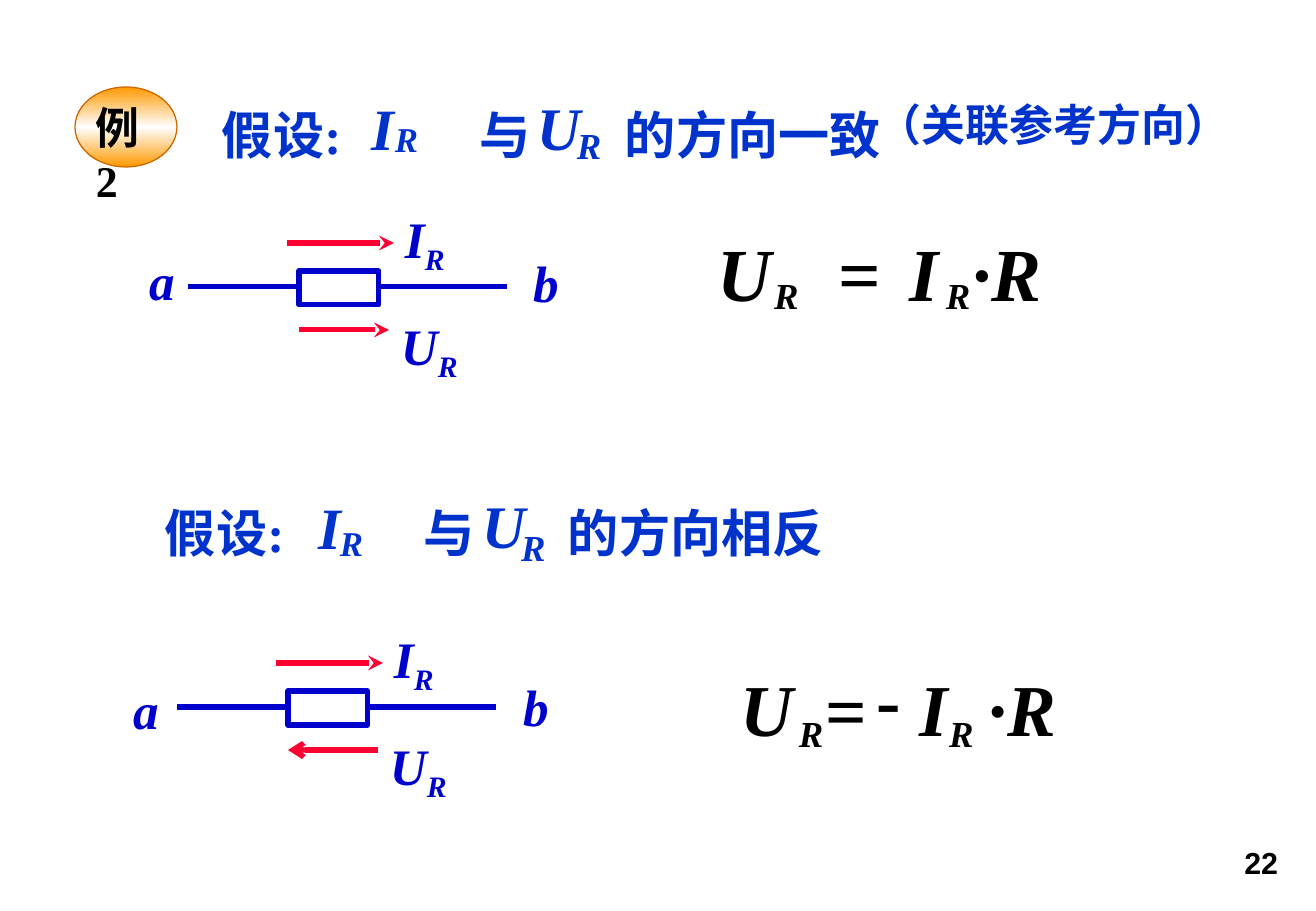
from copy import deepcopy

from lxml import etree
from pptx import Presentation
from pptx.dml.color import RGBColor
from pptx.enum.shapes import MSO_CONNECTOR, MSO_SHAPE
from pptx.enum.text import MSO_ANCHOR, PP_ALIGN
from pptx.oxml.ns import qn
from pptx.util import Pt

EMU_PER_PX = 914400 / 121.5
SLIDE_SIZE = (1316, 911)
COLORS = {
    "black": "000000", "white": "FFFFFF", "circuit": "0000CC",
    "sentence": "0033CC", "arrow": "FF0033", "orange": "FF9900", "rim": "CC6600",
}
TOP, BOTTOM = MSO_ANCHOR.TOP, MSO_ANCHOR.BOTTOM
LEFT, RIGHT = PP_ALIGN.LEFT, PP_ALIGN.RIGHT
RECTANGLE, OVAL = MSO_SHAPE.RECTANGLE, MSO_SHAPE.OVAL
STRAIGHT = MSO_CONNECTOR.STRAIGHT
LABEL_INSETS = (13, 6)
SENTENCE_TABS = (258, 403)


def px(length):
    return round(length * EMU_PER_PX)


def rgb(name):
    return RGBColor.from_string(COLORS[name])


class Board:
    font = "Times New Roman"
    line_width = 3

    def __init__(self, deck):
        self.slide = deck.slides.add_slide(deck.slide_layouts[6])

    def text(self, box, runs, size, color, insets=(12, 6), anchor=BOTTOM,
             align=LEFT, spacing=None, tabs=(), font=None, italic=False):
        """Add one paragraph; runs is a list of (wording, baseline shift in %)."""
        frame = self.slide.shapes.add_textbox(*map(px, box)).text_frame
        across, down = map(px, insets)
        layout = {"word_wrap": True, "vertical_anchor": anchor,
                  "margin_left": across, "margin_right": across,
                  "margin_top": down, "margin_bottom": down}
        for name, value in layout.items():
            setattr(frame, name, value)
        paragraph = frame.paragraphs[0]
        paragraph.alignment = align
        if spacing:
            paragraph.line_spacing = spacing
        if tabs:
            stops = etree.SubElement(paragraph._p.get_or_add_pPr(), qn("a:tabLst"))
            for stop in tabs:
                etree.SubElement(stops, qn("a:tab"), pos=str(px(stop)), algn="l")
        style = {"name": font or self.font, "size": Pt(size), "bold": True, "italic": italic}
        for wording, shift in runs:
            run = paragraph.add_run()
            run.text = wording
            for name, value in style.items():
                setattr(run.font, name, value)
            run.font.color.rgb = rgb(color)
            if shift:
                run._r.get_or_add_rPr().set("baseline", str(shift * 1000))

    def symbol(self, x, y, wording, size, color):
        """Add a formula sign whose box follows from its type size."""
        box = (x, y, round(size * 1.3 * len(wording)), round(size * 2.05))
        self.text(box, [(wording, 0)], size, color, insets=(0, 0),
                  italic=wording not in "=-")

    def label(self, x, y, letter, subscript=""):
        runs = [(letter, 0)]
        if subscript:
            runs.append((subscript, -25))
        self.text((x, y, 95 if subscript else 52, 75), runs, 30.3, "circuit",
                  insets=LABEL_INSETS, anchor=TOP if subscript else BOTTOM, italic=True)

    def line(self, start, end, color, **ends):
        """Draw a line; ends maps headEnd or tailEnd to an arrowhead type."""
        wire = self.slide.shapes.add_connector(STRAIGHT, *map(px, start + end))
        wire.line.color.rgb = rgb(color)
        wire.line.width = Pt(self.line_width)
        for end_name, head in ends.items():
            etree.SubElement(wire.line._get_or_add_ln(), qn("a:" + end_name), type=head)
        etree.SubElement(wire._element.spPr, qn("a:effectLst"))

    def shape(self, kind, box, outline, width):
        body = self.slide.shapes.add_shape(kind, *map(px, box))
        body.shadow.inherit = False
        body.fill.solid()
        body.fill.fore_color.rgb = rgb("white")
        body.line.color.rgb = rgb(outline)
        body.line.width = Pt(width)
        return body

    def badge(self, box, wording):
        oval = self.shape(OVAL, box, "rim", 0.75)
        oval.fill.gradient()
        oval.fill.gradient_angle = 90
        stops = oval._element.spPr.find(".//" + qn("a:gsLst"))
        stops.append(deepcopy(stops[0]))
        for stop, position, color in zip(oval.fill.gradient_stops, (0, 0.5, 1),
                                         ("orange", "white", "orange")):
            stop.position = position
            stop.color.rgb = rgb(color)
        self.text((83, 95, 80, 67), [(wording, 0)], 26, "black",
                  insets=LABEL_INSETS, anchor=TOP)

    def sentence(self, x, y, ending, symbol_places):
        self.text((x, y, 691, 84), [(f"假设:\t与\t{ending}", 0)], 30.3, "sentence",
                  anchor=TOP, spacing=1.3, tabs=SENTENCE_TABS)
        signs = (("I", 34.7), ("R", 20.6), ("U", 35.8), ("R", 21.7))
        for (left, top), (letter, size) in zip(symbol_places, signs):
            self.symbol(left, top, letter, size, "sentence")

    def circuit(self, x, y, a_place, b_place, voltage_end):
        """Draw a resistor between a and b; x, y is the left end of its wire."""
        self.line((x, y), (x + 319, y), "circuit")
        self.shape(RECTANGLE, (x + 111, y - 16, 80, 34), "circuit", self.line_width)
        self.line((x + 99, y - 44), (x + 206, y - 44), "arrow", tailEnd="stealth")
        self.line((x + 111, y + 43), (x + 201, y + 43), "arrow", **voltage_end)
        self.label(x + 204, y - 86, "I", "R")
        self.label(x + 200, y + 21, "U", "R")
        self.label(*a_place, "a")
        self.label(*b_place, "b")

    def equation(self, size, signs, subscripts):
        for type_size, group in ((size, signs), (21.7, subscripts)):
            for x, y, wording in group:
                self.symbol(x, y, wording, type_size, "black")


def main():
    deck = Presentation()
    deck.slide_width, deck.slide_height = map(px, SLIDE_SIZE)
    board = Board(deck)

    board.text((927, 838, 363, 49), [("22", 0)], 18, "black", align=RIGHT, font="Arial")
    board.badge((75, 87, 102, 80), "例2")

    board.sentence(210, 79, "的方向一致", ((371, 91), (395, 117), (537, 90), (577, 123)))
    board.text((866, 90, 384, 66), [("（关联参考方向）", 0)], 26, "sentence")
    board.circuit(188, 287, (136, 242), (520, 244), {"tailEnd": "stealth"})
    board.equation(44.4,
                   ((717, 226, "U"), (838, 226, "="), (909, 226, "I"), (973, 226, "·R")),
                   ((774, 273, "R"), (946, 273, "R")))

    board.sentence(153, 477, "的方向相反", ((318, 490), (340, 521), (482, 488), (521, 525)))
    board.circuit(177, 707, (120, 671), (510, 668), {"headEnd": "arrow"})
    board.equation(43.3,
                   ((740, 662, "U"), (825, 663, "="), (876, 652, "-"),
                    (919, 662, "I"), (989, 662, "·R")),
                   ((799, 711, "R"), (949, 711, "R")))

    deck.save("out.pptx")


if __name__ == "__main__":
    main()
